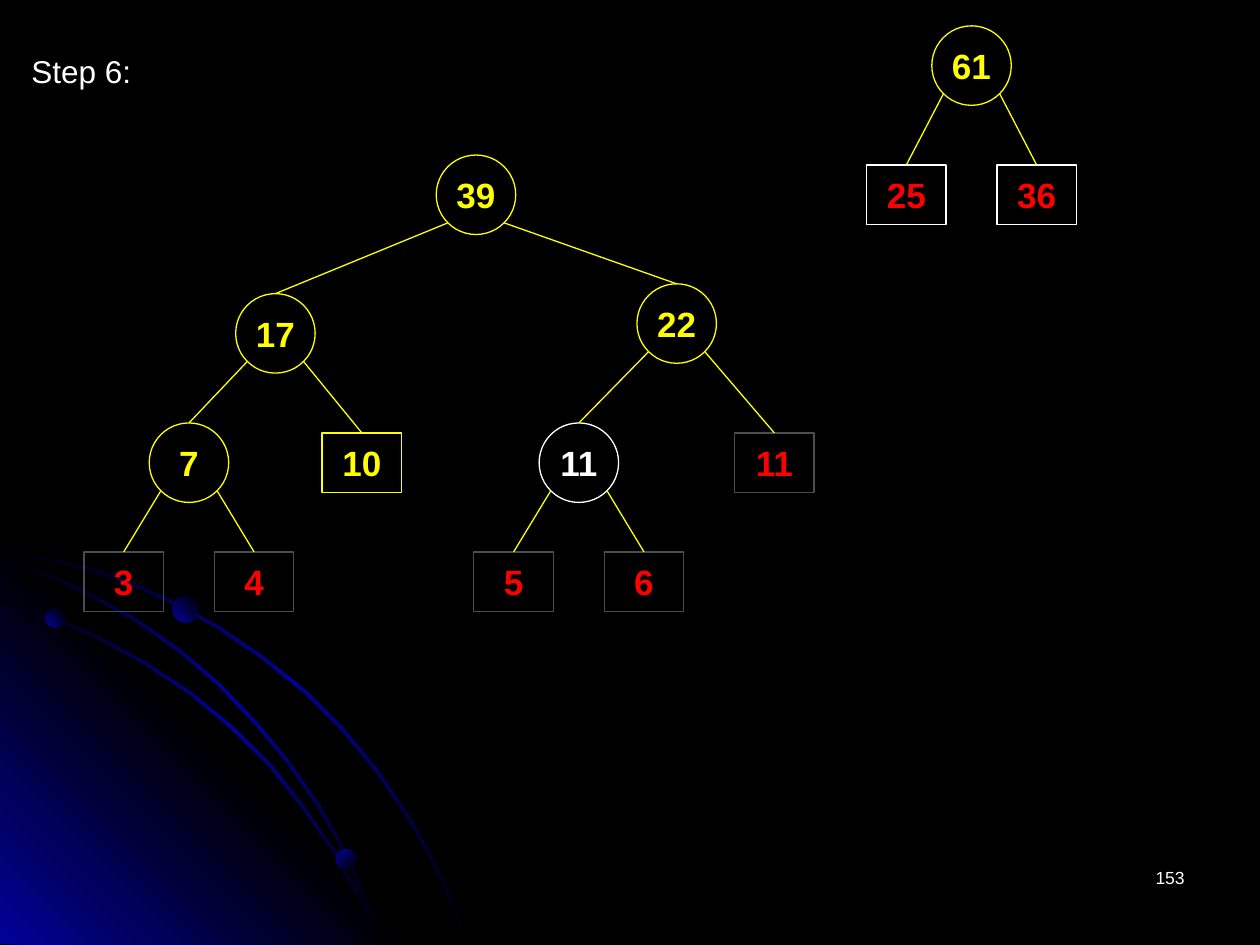
import pptx
import pptx.util
import pptx.oxml
import pptx.oxml.ns
import pptx.dml.color
import pptx.enum.shapes
import pptx.enum.text

Pt = pptx.util.Pt
SHAPE = pptx.enum.shapes.MSO_SHAPE
ALIGN = pptx.enum.text.PP_ALIGN
ANCHOR = pptx.enum.text.MSO_ANCHOR

COLORS = {
    "black": "000000",
    "blue": "010199",
    "yellow": "FFFF00",
    "white": "FFFFFF",
    "gray": "4D4D4D",
    "red": "FF0000",
}
FONT = "Arial"
DIAMETER = 45.4
LEAF_HEIGHT = 34
LINE_WIDTH = 0.75
HALF_RIBBON = 0.6

# name: (label, kind, centre x, top, outline, text colour)
NODES = {
    "left pair 3": ("3", "leaf", 70.7, 315.4, "gray", "red"),
    "left pair 4": ("4", "leaf", 145.2, 315.4, "gray", "red"),
    "right pair 5": ("5", "leaf", 293.5, 315.4, "gray", "red"),
    "leaf 11": ("11", "leaf", 442.5, 247.4, "gray", "red"),
    "right pair 6": ("6", "leaf", 368, 315.4, "gray", "red"),
    "leaf 10": ("10", "leaf", 206.8, 247.4, "yellow", "yellow"),
    "leaf 25": ("25", "leaf", 517.9, 94.3, "white", "red"),
    "leaf 36": ("36", "leaf", 592.4, 94.3, "white", "red"),
    "sum 7": ("7", "sum", 108, 241.7, "yellow", "yellow"),
    "sum 11": ("11", "sum", 330.8, 241.7, "white", "white"),
    "sum 17": ("17", "sum", 157.4, 167.8, "yellow", "yellow"),
    "sum 22": ("22", "sum", 386.7, 162.2, "yellow", "yellow"),
    "sum 39": ("39", "sum", 272, 88.6, "yellow", "yellow"),
    "sum 61": ("61", "sum", 555.2, 14.8, "yellow", "yellow"),
}
CHILDREN = {
    "sum 7": ("left pair 3", "left pair 4"),
    "sum 11": ("right pair 5", "right pair 6"),
    "sum 17": ("sum 7", "leaf 10"),
    "sum 22": ("sum 11", "leaf 11"),
    "sum 39": ("sum 17", "sum 22"),
    "sum 61": ("leaf 25", "leaf 36"),
}
OUTER_ARC = [
    (0, 314.3), (20.2, 318.2), (40.7, 322.6), (70.2, 331.2), (97.6, 343.8),
    (124.9, 358.6), (150.1, 375.8), (173.9, 394.9), (195.5, 416.5), (215.3, 440.3),
    (233.3, 466.9), (243.4, 484.6), (252.7, 502.6), (259.9, 520.6), (267.1, 539.3),
]
INNER_ARC = [
    (0, 342.7), (28.8, 352.1), (56.2, 364.3), (83.5, 379.4), (108.7, 396),
    (132.1, 415.4), (154.1, 437), (173.5, 461.5), (191.2, 487.1), (205.6, 513.4),
    (212.4, 526.3), (217.4, 539.3),
]
MIDDLE_ARC = [
    (0, 319), (27, 328.3), (54, 341.3), (79.2, 355.3), (103, 372.2),
    (125.3, 391.3), (146.2, 413.3), (164.2, 434.9), (182.2, 460.8), (193, 479.5),
    (202.3, 499.3), (211, 519.1), (217.4, 539.3),
]
CORNER = [(231.8, 539.6), (0, 539.6), (0, 307.4)]
PLANETS = [(25.9, 347.8, 10.8, 315), (192, 485.3, 11.5, 45), (98.6, 340.6, 15.1, 315)]


def rgb(name):
    return pptx.dml.color.RGBColor.from_string(COLORS[name])


def fill_gradient(shape, names, angle):
    shape.shadow.inherit = False
    shape.line.fill.background()
    shape.fill.background()
    step = 100000 // (len(names) - 1)
    stops = "".join(
        f'<a:gs pos="{index * step}"><a:srgbClr val="{COLORS[name]}"/></a:gs>'
        for index, name in enumerate(names)
    )
    gradient = pptx.oxml.parse_xml(
        f'<a:gradFill {pptx.oxml.ns.nsdecls("a")} rotWithShape="1"><a:gsLst>{stops}</a:gsLst>'
        f'<a:lin ang="{angle * 60000}" scaled="0"/></a:gradFill>'
    )
    properties = shape._element.spPr
    properties.replace(properties.find(pptx.oxml.ns.qn("a:noFill")), gradient)


def add_polygon(slide, points, names, angle):
    corners = [(Pt(x), Pt(y)) for x, y in points]
    builder = slide.shapes.build_freeform(*corners[0])
    builder.add_line_segments(corners[1:], close=True)
    fill_gradient(builder.convert_to_shape(), names, angle)


def add_arc(slide, points):
    upper = [(x + HALF_RIBBON, y - HALF_RIBBON) for x, y in points]
    lower = [(max(0, x - HALF_RIBBON), y + HALF_RIBBON) for x, y in points]
    add_polygon(slide, upper + lower[::-1], ["black", "blue", "black"], 45)


def write(shape, text, size, color, align, bold=False, wrap=False):
    frame = shape.text_frame
    frame.word_wrap = wrap
    paragraph = frame.paragraphs[0]
    paragraph.text = text
    paragraph.alignment = align
    paragraph.font.name = FONT
    paragraph.font.size = Pt(size)
    paragraph.font.bold = bold
    paragraph.font.color.rgb = rgb(color)


def add_node(slide, label, kind, center, top, outline, color):
    preset, height = (SHAPE.OVAL, DIAMETER) if kind == "sum" else (SHAPE.RECTANGLE, LEAF_HEIGHT)
    shape = slide.shapes.add_shape(
        preset, Pt(center - DIAMETER / 2), Pt(top), Pt(DIAMETER), Pt(height)
    )
    shape.shadow.inherit = False
    shape.fill.background()
    shape.line.color.rgb = rgb(outline)
    shape.line.width = Pt(LINE_WIDTH)
    shape.text_frame.vertical_anchor = ANCHOR.MIDDLE
    write(shape, label, 20, color, ALIGN.CENTER, bold=True)


def add_branch(slide, parent, child, side):
    _, _, parent_x, parent_top, _, _ = NODES[parent]
    _, _, child_x, child_top, _, _ = NODES[child]
    radius = DIAMETER / 2
    diagonal = radius * 0.5 ** 0.5
    branch = slide.shapes.add_connector(
        pptx.enum.shapes.MSO_CONNECTOR.STRAIGHT,
        Pt(parent_x + side * diagonal), Pt(parent_top + radius + diagonal),
        Pt(child_x), Pt(child_top),
    )
    branch.line.color.rgb = rgb("yellow")
    branch.line.width = Pt(LINE_WIDTH)
    branch._element.spPr.append(pptx.oxml.parse_xml(f'<a:effectLst {pptx.oxml.ns.nsdecls("a")}/>'))


def main():
    presentation = pptx.Presentation()
    presentation.slide_width, presentation.slide_height = Pt(720), Pt(540)
    slide = presentation.slides.add_slide(presentation.slide_layouts[6])
    slide.background.fill.solid()
    slide.background.fill.fore_color.rgb = rgb("black")

    add_arc(slide, OUTER_ARC)
    add_polygon(slide, CORNER, ["blue", "black", "blue"], 315)
    add_arc(slide, INNER_ARC)
    add_arc(slide, MIDDLE_ARC)
    for left, top, size, angle in PLANETS:
        planet = slide.shapes.add_shape(SHAPE.OVAL, Pt(left), Pt(top), Pt(size), Pt(size))
        fill_gradient(planet, ["blue", "black"], angle)

    step = slide.shapes.add_textbox(Pt(10.8), Pt(25.9), Pt(71.3), Pt(29))
    write(step, "Step 6:", 18, "white", ALIGN.CENTER)

    for name, node in NODES.items():
        add_node(slide, *node)
        for child, side in zip(CHILDREN.get(name, ()), (-1, 1)):
            add_branch(slide, name, child, side)

    number = slide.shapes.add_textbox(Pt(516.2), Pt(491.8), Pt(167.8), Pt(36))
    write(number, "153", 10, "white", ALIGN.RIGHT, wrap=True)

    presentation.save("out.pptx")


if __name__ == "__main__":
    main()
